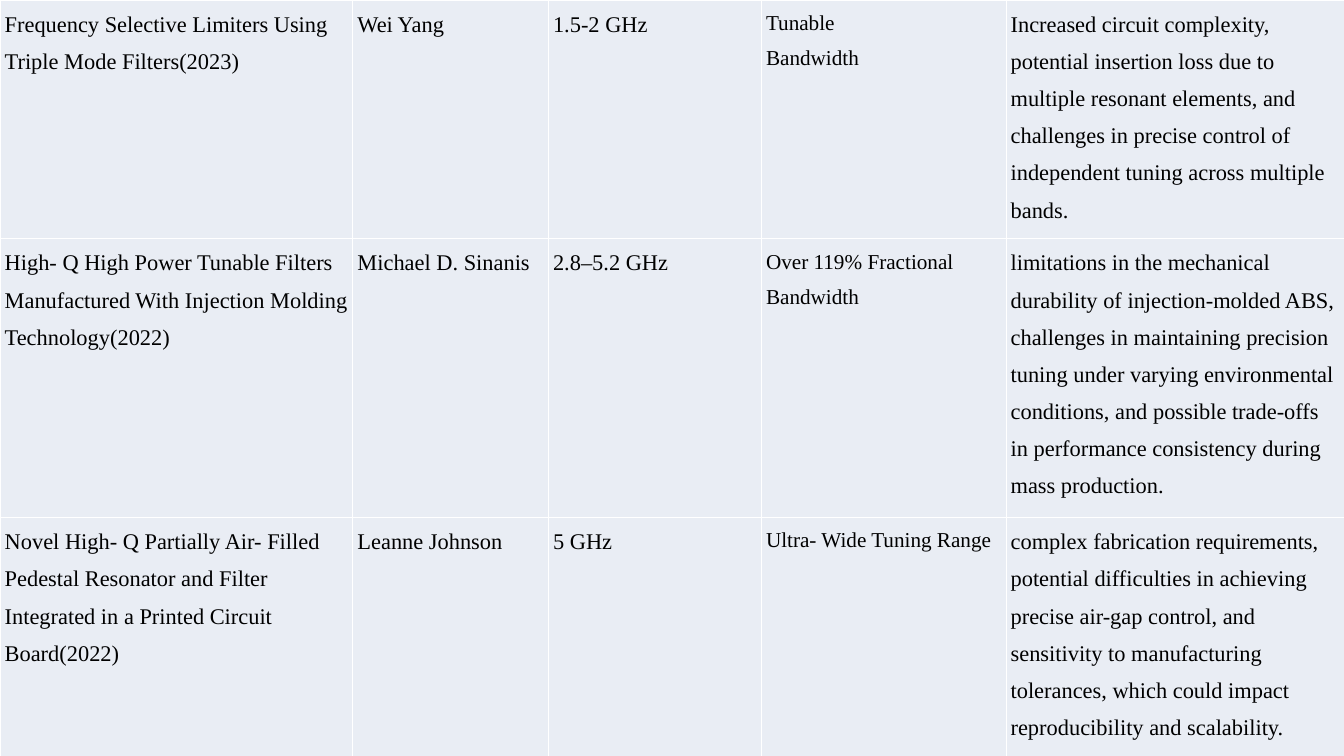
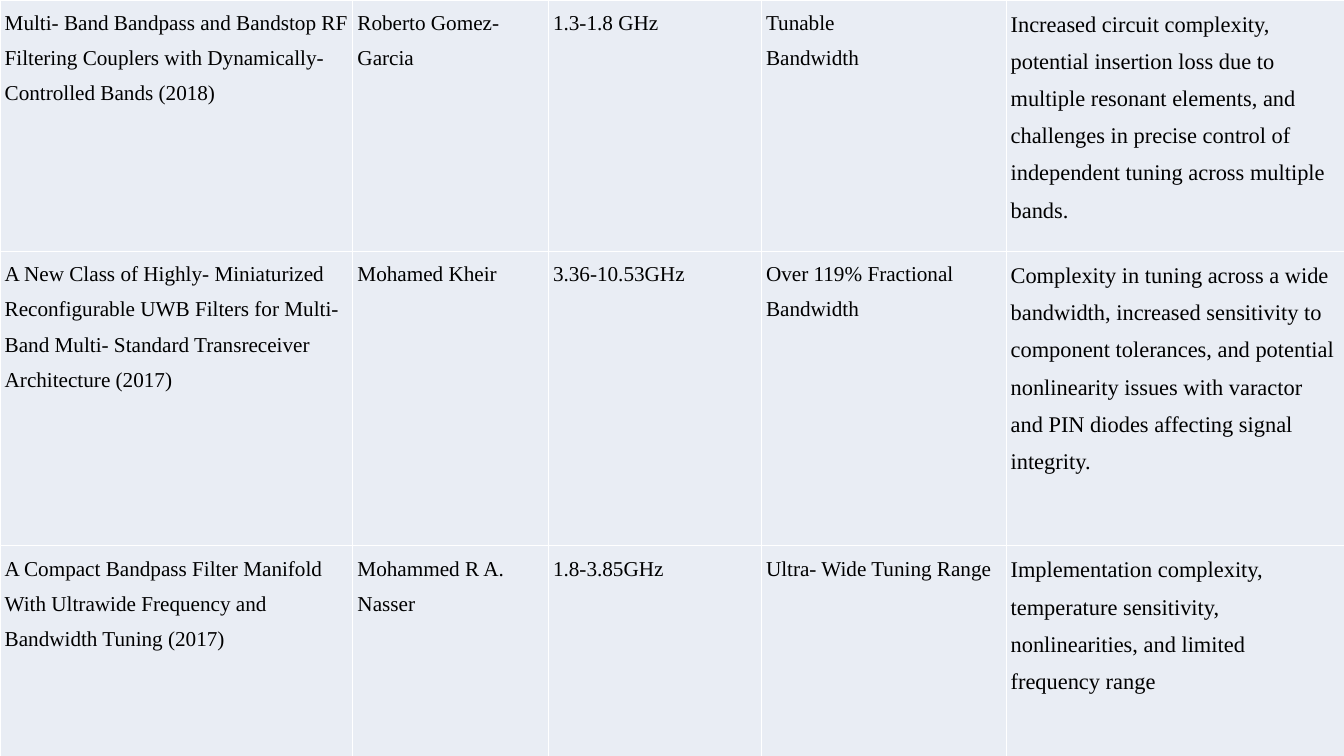
"""Build two slides of a literature survey table on tunable filters."""
import dataclasses

import pptx
import pptx.dml.color
import pptx.oxml
import pptx.oxml.ns
import pptx.util

Inches = pptx.util.Inches
Pt = pptx.util.Pt


@dataclasses.dataclass(frozen=True)
class Theme:
    """Colours, type and spacing shared by the slides."""
    font: str = "Times New Roman"
    text: str = "000000"
    fill: str = "E9EDF4"
    border: str = "FFFFFF"
    border_width: float = 1
    body: float = 24
    small: float = 22.7
    line_spacing: float = 1.5
    side_margin: float = 0.07


THEME = Theme()
SLIDE_WIDTH, SLIDE_HEIGHT = 20, 11.25
COLUMN_WIDTHS = (5.25, 2.91, 3.17, 3.64, 5.03)

BANDWIDTH_TYPES = (
    "Tunable\nBandwidth",
    "Over 119% Fractional Bandwidth",
    "Ultra- Wide Tuning Range",
)
CIRCUIT_LIMITS = (
    "Increased circuit complexity, potential insertion loss due to multiple "
    "resonant elements, and challenges in precise control of independent "
    "tuning across multiple bands."
)

RECENT_PAPERS = (
    ("Frequency Selective Limiters Using Triple Mode Filters(2023)",
     "Wei Yang", "1.5-2 GHz", BANDWIDTH_TYPES[0], CIRCUIT_LIMITS),
    ("High- Q High Power Tunable Filters Manufactured With Injection Molding "
     "Technology(2022)",
     "Michael D. Sinanis", "2.8–5.2 GHz", BANDWIDTH_TYPES[1],
     "limitations in the mechanical durability of injection-molded ABS, "
     "challenges in maintaining precision tuning under varying environmental "
     "conditions, and possible trade-offs in performance consistency during "
     "mass production."),
    ("Novel High- Q Partially Air- Filled Pedestal Resonator and Filter "
     "Integrated in a Printed Circuit Board(2022)",
     "Leanne Johnson", "5 GHz", BANDWIDTH_TYPES[2],
     "complex fabrication requirements, potential difficulties in achieving "
     "precise air-gap control, and sensitivity to manufacturing tolerances, "
     "which could impact reproducibility and scalability."),
)
EARLIER_PAPERS = (
    ("Multi- Band Bandpass and Bandstop RF Filtering Couplers with "
     "Dynamically- Controlled Bands (2018)",
     "Roberto Gomez- Garcia", "1.3-1.8 GHz", BANDWIDTH_TYPES[0],
     CIRCUIT_LIMITS),
    ("A New Class of Highly- Miniaturized Reconfigurable UWB Filters for "
     "Multi- Band Multi- Standard Transreceiver Architecture (2017)",
     "Mohamed Kheir", "3.36-10.53GHz", BANDWIDTH_TYPES[1],
     "Complexity in tuning across a wide bandwidth, increased sensitivity to "
     "component tolerances, and potential nonlinearity issues with varactor "
     "and PIN diodes affecting signal integrity."),
    ("A Compact Bandpass Filter Manifold With Ultrawide Frequency and "
     "Bandwidth Tuning (2017)",
     "Mohammed R A. Nasser", "1.8-3.85GHz", BANDWIDTH_TYPES[2],
     "Implementation complexity, temperature sensitivity, nonlinearities, "
     "and limited frequency range"),
)


def rgb(value):
    """Return the colour for a hex value."""
    return pptx.dml.color.RGBColor.from_string(value)


def set_borders(cell):
    """Draw the theme border on all four sides of a cell."""
    properties = cell._tc.get_or_add_tcPr()
    for side in ("lnL", "lnR", "lnT", "lnB"):
        properties.append(pptx.oxml.parse_xml(
            f'<a:{side} {pptx.oxml.ns.nsdecls("a")} w="{Pt(THEME.border_width)}">'
            f'<a:solidFill><a:srgbClr val="{THEME.border}"/></a:solidFill>'
            f'</a:{side}>'))


def fill_cell(cell, text, size):
    """Write and format the text of one table cell."""
    set_borders(cell)
    cell.fill.solid()
    cell.fill.fore_color.rgb = rgb(THEME.fill)
    cell.margin_left = cell.margin_right = Inches(THEME.side_margin)
    cell.margin_top = cell.margin_bottom = 0
    tf = cell.text_frame
    tf.text = text
    for p in tf.paragraphs:
        p.line_spacing = THEME.line_spacing
        p.font.name = THEME.font
        p.font.size = Pt(size)
        p.font.color.rgb = rgb(THEME.text)


def add_survey_slide(prs, papers, row_heights, column_sizes):
    """Add a slide filled by a table with one paper per row."""
    s = prs.slides.add_slide(prs.slide_layouts[6])
    table = s.shapes.add_table(
        len(papers), len(COLUMN_WIDTHS), 0, 0,
        Inches(SLIDE_WIDTH), Inches(SLIDE_HEIGHT)).table
    table.first_row = table.horz_banding = False
    for column, width in zip(table.columns, COLUMN_WIDTHS):
        column.width = Inches(width)
    for row, height, paper in zip(table.rows, row_heights, papers):
        row.height = Inches(height)
        for cell, text, size in zip(row.cells, paper, column_sizes):
            fill_cell(cell, text, size)


def main():
    """Build and save the presentation."""
    prs = pptx.Presentation()
    prs.slide_width = Inches(SLIDE_WIDTH)
    prs.slide_height = Inches(SLIDE_HEIGHT)
    body, small = THEME.body, THEME.small
    add_survey_slide(prs, RECENT_PAPERS, (3.55, 4.15, 3.55),
                     (body, body, body, small, body))
    add_survey_slide(prs, EARLIER_PAPERS, (3.74, 4.38, 3.13),
                     (small, small, small, small, body))
    prs.save("out.pptx")


if __name__ == "__main__":
    main()
